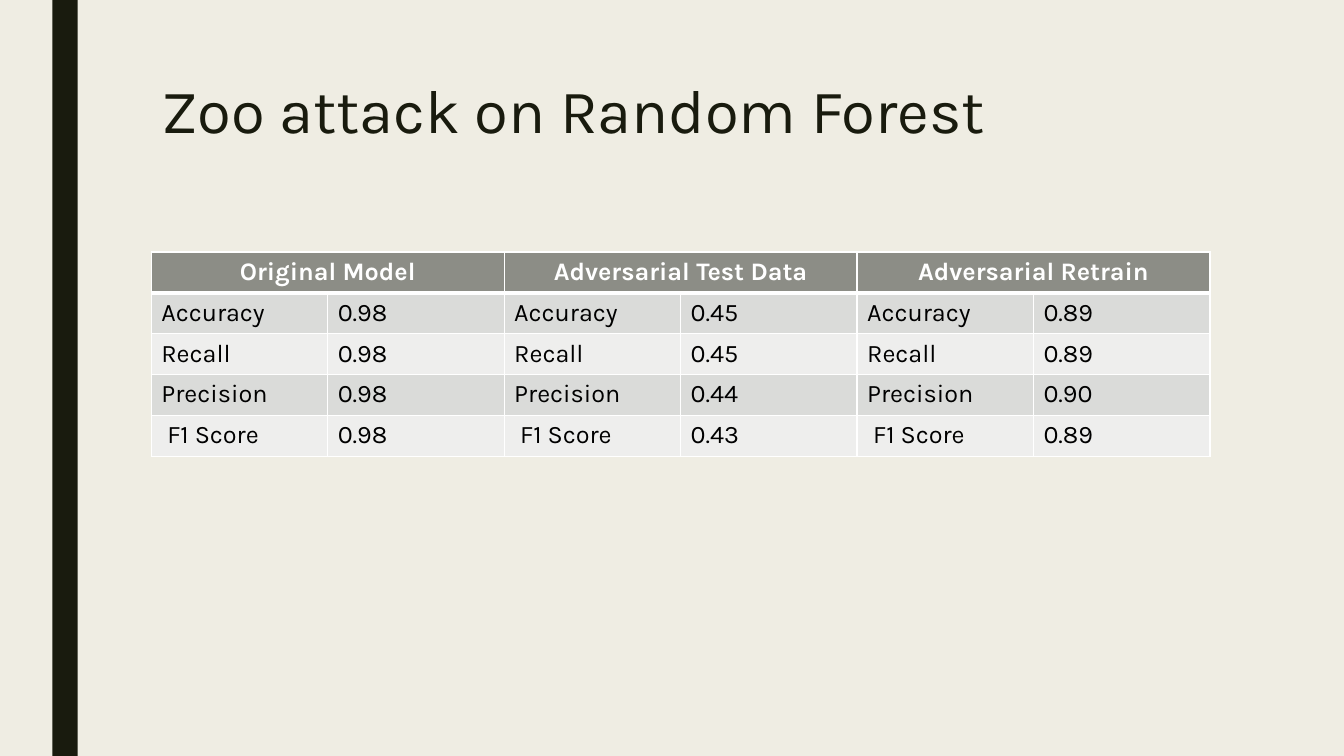
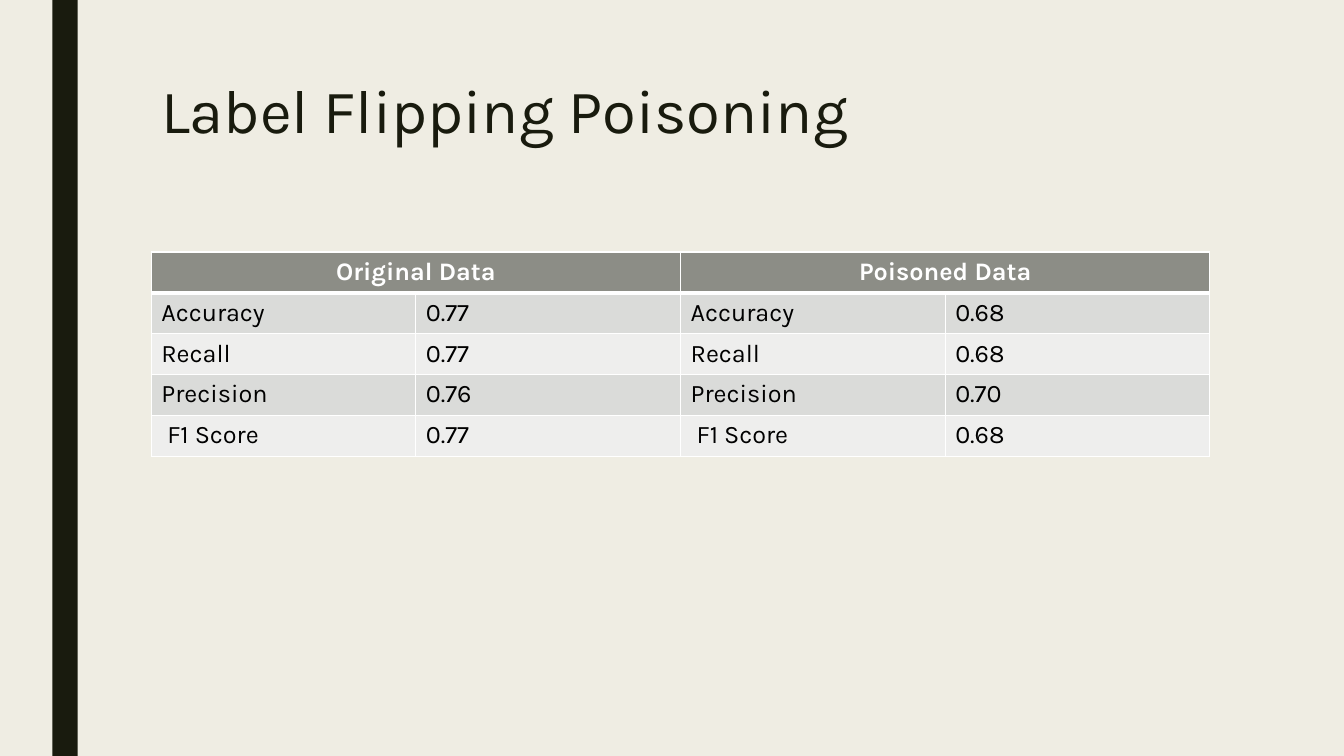
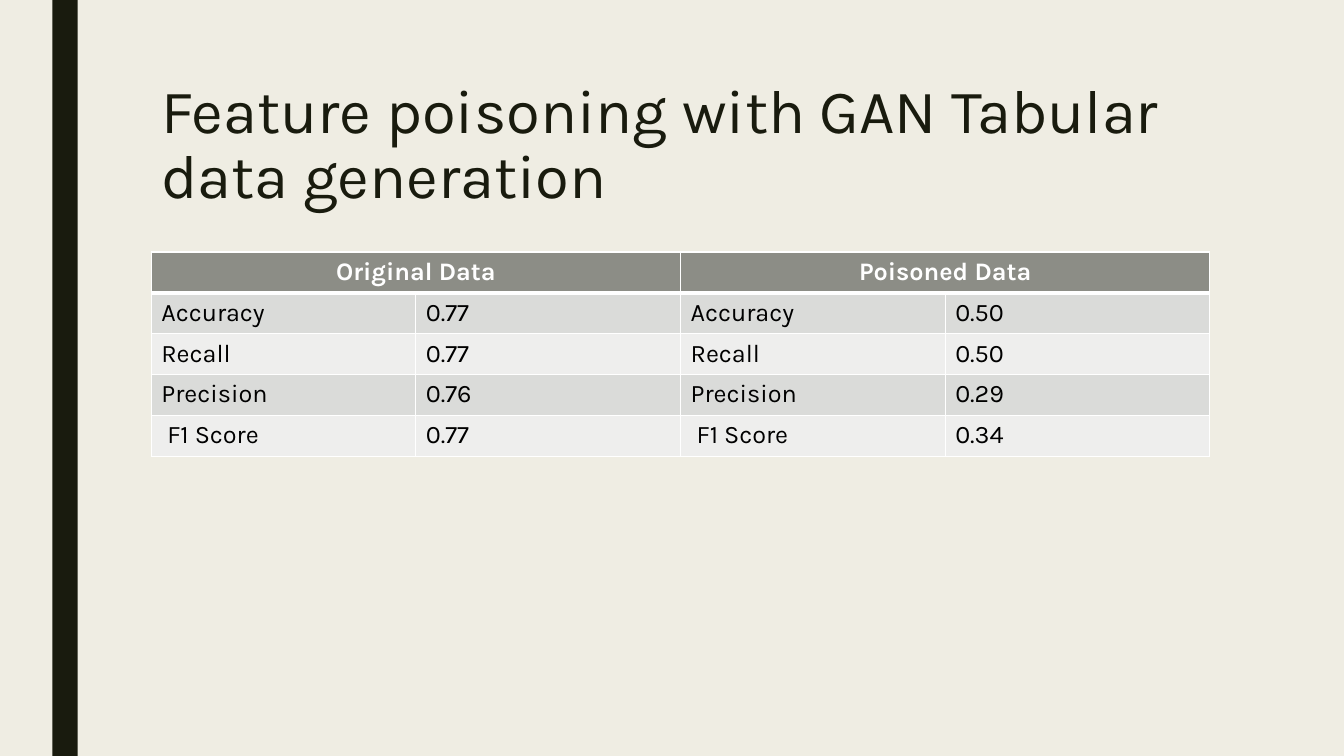
from lxml.etree import SubElement
from pptx import Presentation
from pptx.dml.color import RGBColor
from pptx.enum.shapes import MSO_SHAPE
from pptx.enum.text import MSO_ANCHOR, PP_ALIGN
from pptx.oxml.ns import qn
from pptx.util import Inches, Pt

METRICS = ["Accuracy", "Recall", "Precision", " F1 Score"]
SLIDES = [
    ("Zoo attack on Random Forest", {
        "Original Model": ["0.98", "0.98", "0.98", "0.98"],
        "Adversarial Test Data": ["0.45", "0.45", "0.44", "0.43"],
        "Adversarial Retrain": ["0.89", "0.89", "0.90", "0.89"],
    }),
    ("Label Flipping Poisoning", {
        "Original Data": ["0.77", "0.77", "0.76", "0.77"],
        "Poisoned Data": ["0.68", "0.68", "0.70", "0.68"],
    }),
    ("Feature poisoning with GAN Tabular data generation", {
        "Original Data": ["0.77", "0.77", "0.76", "0.77"],
        "Poisoned Data": ["0.50", "0.50", "0.29", "0.34"],
    }),
]

COLORS = {
    "background": "EFEDE3", "ink": "191B0E", "header": "8C8D86",
    "odd_row": "DADBD9", "even_row": "EEEEED", "white": "FFFFFF", "black": "000000",
}
FONT = "Karla"
LEFT, CONTENT_WIDTH = 1.5, 10.5
TABLE_TOP, TABLE_HEIGHT = 2.5, 2.03
TITLE_STYLE = {"size": Pt(44), "bold": False}
HEADER_STYLE = {"size": Pt(18), "bold": True}
BODY_STYLE = {"size": Pt(18), "bold": False}


def rgb(color):
    """Return the named colour."""
    return RGBColor.from_string(COLORS[color])


def write(paragraph, text, color, style):
    """Put one styled run into a paragraph."""
    run = paragraph.add_run()
    run.text = text
    run.font.color.rgb = rgb(color)
    for attribute, value in {"name": FONT, **style}.items():
        setattr(run.font, attribute, value)


def add_band(slide):
    """Draw the dark vertical band at the left."""
    band = slide.shapes.add_shape(
        MSO_SHAPE.RECTANGLE, Inches(0.52), 0, Inches(0.25), Inches(7.5))
    band.shadow.inherit = False
    band.fill.solid()
    band.fill.fore_color.rgb = rgb("ink")
    band.line.fill.background()


def add_title(slide, title):
    """Write the slide title."""
    frame = slide.shapes.add_textbox(
        Inches(LEFT), Inches(0.75), Inches(CONTENT_WIDTH), Inches(1.62)).text_frame
    frame.word_wrap = True
    frame.vertical_anchor = MSO_ANCHOR.TOP
    frame.paragraphs[0].line_spacing = 0.89
    write(frame.paragraphs[0], title, "ink", TITLE_STYLE)


def set_borders(cell, row):
    """Rule a cell in white, with a heavier line below the header."""
    widths = {"L": 1, "R": 1, "T": 3 if row == 1 else 1, "B": 3 if row == 0 else 1}
    properties = cell._tc.get_or_add_tcPr()
    for side, width in widths.items():
        line = SubElement(properties, qn(f"a:ln{side}"), w=str(Pt(width)))
        fill = SubElement(line, qn("a:solidFill"))
        SubElement(fill, qn("a:srgbClr"), val=COLORS["white"])


def add_results(slide, results):
    """Tabulate the metrics, with one pair of columns per model or data set."""
    column_count, row_count = 2 * len(results), len(METRICS) + 1
    table = slide.shapes.add_table(
        row_count, column_count, Inches(LEFT), Inches(TABLE_TOP),
        Inches(CONTENT_WIDTH), Inches(TABLE_HEIGHT)).table
    table.horz_banding = False
    for column in table.columns:
        column.width = Inches(CONTENT_WIDTH / column_count)

    for row in range(row_count):
        row_color = "header" if row == 0 else "odd_row" if row % 2 else "even_row"
        for column in range(column_count):
            cell = table.cell(row, column)
            set_borders(cell, row)
            cell.fill.solid()
            cell.fill.fore_color.rgb = rgb(row_color)

    for group, (heading, scores) in enumerate(results.items()):
        first = 2 * group
        header = table.cell(0, first)
        header.merge(table.cell(0, first + 1))
        heading_line = header.text_frame.paragraphs[0]
        heading_line.alignment = PP_ALIGN.CENTER
        write(heading_line, heading, "white", HEADER_STYLE)
        for row, pair in enumerate(zip(METRICS, scores), start=1):
            for offset, entry in enumerate(pair):
                line = table.cell(row, first + offset).text_frame.paragraphs[0]
                write(line, entry, "black", BODY_STYLE)


def build():
    """Build and save the presentation."""
    deck = Presentation()
    deck.slide_width, deck.slide_height = Inches(13.33), Inches(7.5)
    backdrop = deck.slide_master.background.fill
    backdrop.solid()
    backdrop.fore_color.rgb = rgb("background")
    for title, results in SLIDES:
        slide = deck.slides.add_slide(deck.slide_layouts[6])
        add_band(slide)
        add_title(slide, title)
        add_results(slide, results)
    deck.save("out.pptx")


build()
